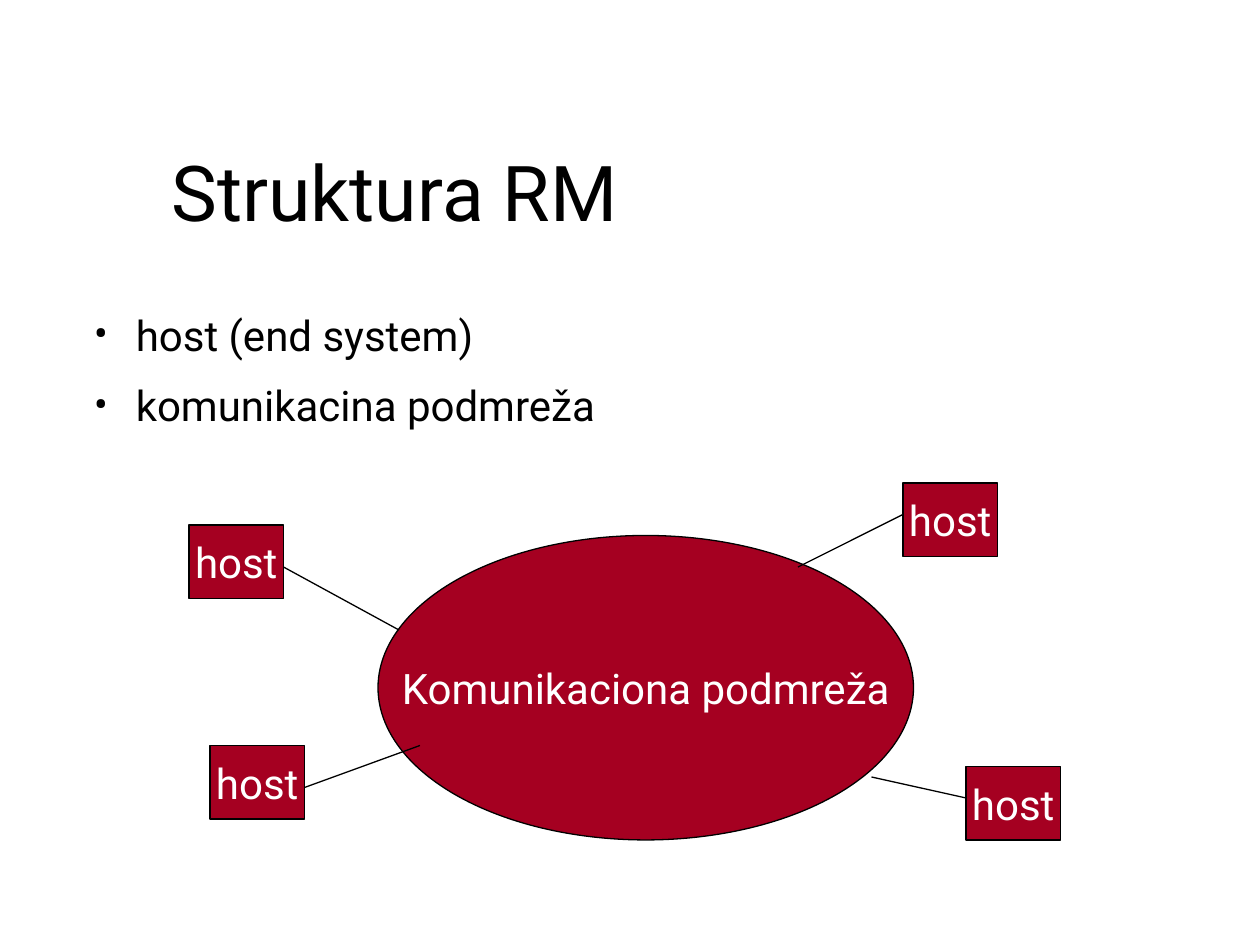
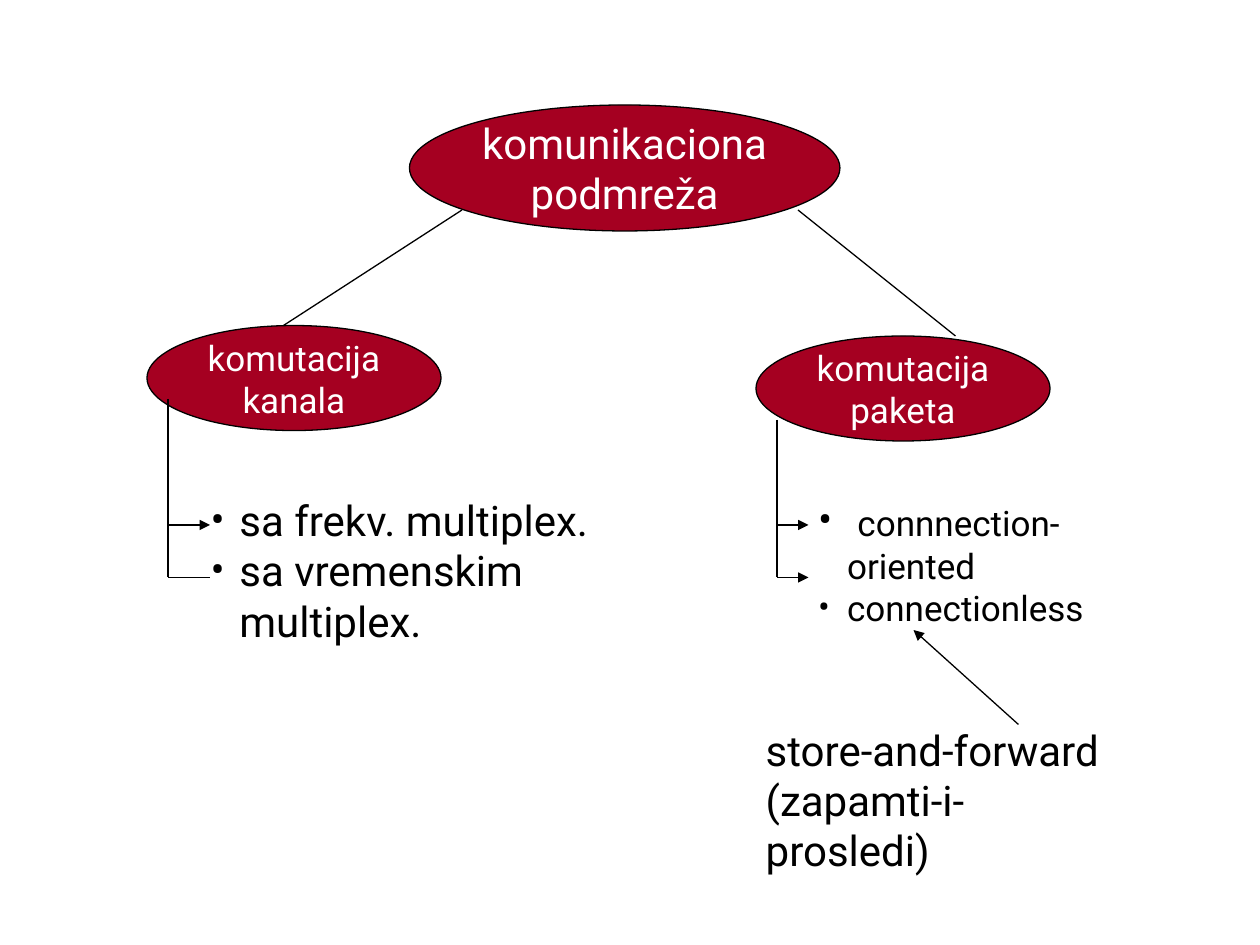
from dataclasses import dataclass

from lxml import etree
from pptx import Presentation
from pptx.dml.color import RGBColor
from pptx.enum.shapes import MSO_CONNECTOR, MSO_SHAPE
from pptx.enum.text import MSO_ANCHOR, PP_ALIGN
from pptx.oxml.ns import qn
from pptx.util import Pt

PX = 9525
TITLE_ONLY, BLANK = 5, 6
OVAL, RECTANGLE = MSO_SHAPE.OVAL, MSO_SHAPE.RECTANGLE
STRAIGHT = MSO_CONNECTOR.STRAIGHT
TOP, MIDDLE, BOTTOM = MSO_ANCHOR.TOP, MSO_ANCHOR.MIDDLE, MSO_ANCHOR.BOTTOM
LEFT, CENTER = PP_ALIGN.LEFT, PP_ALIGN.CENTER


@dataclass(frozen=True)
class Theme:
    font: str = "Roboto"
    ink: RGBColor = RGBColor(0, 0, 0)
    paper: RGBColor = RGBColor(255, 255, 255)
    accent: RGBColor = RGBColor(0xA5, 0x00, 0x21)
    title: int = 44
    body: int = 24
    small: int = 20
    line: float = 0.75


THEME = Theme()


def px(*lengths):
    return [length * PX for length in lengths]


def apply(target, formats):
    for name, value in formats.items():
        setattr(target, name, value)


def write(frame, paragraphs, size, color=THEME.ink, frame_format=None, **paragraph_format):
    apply(frame, {"word_wrap": True, "vertical_anchor": TOP, **(frame_format or {})})
    for index, runs in enumerate(paragraphs):
        paragraph = frame.add_paragraph() if index else frame.paragraphs[0]
        apply(paragraph, {"alignment": LEFT, **paragraph_format})
        for text, run_size in [(runs, size)] if isinstance(runs, str) else runs:
            run = paragraph.add_run()
            run.text = text
            apply(run.font, {"name": THEME.font, "size": Pt(run_size)})
            run.font.color.rgb = color


def add_text(slide, box, paragraphs, size=THEME.body, **paragraph_format):
    frame = slide.shapes.add_textbox(*px(*box)).text_frame
    write(frame, paragraphs, size, **paragraph_format)
    return frame


def add_bullets(slide, box, paragraphs, size=THEME.body, margin=22, hanging=22, **paragraph_format):
    frame = add_text(slide, box, paragraphs, size, **paragraph_format)
    for paragraph in frame.paragraphs:
        properties = paragraph._p.get_or_add_pPr()
        properties.set("marL", str(margin * PX))
        properties.set("indent", str(-hanging * PX))
        etree.SubElement(properties, qn("a:buFont")).set("typeface", THEME.font)
        etree.SubElement(properties, qn("a:buChar")).set("char", "•")


def add_node(slide, kind, box, paragraphs, size=THEME.body):
    shape = slide.shapes.add_shape(kind, *px(*box))
    shape.shadow.inherit = False
    shape.fill.solid()
    shape.fill.fore_color.rgb = THEME.accent
    shape.line.color.rgb = THEME.ink
    shape.line.width = Pt(THEME.line)
    write(shape.text_frame, paragraphs, size, THEME.paper,
          {"word_wrap": False, "vertical_anchor": MIDDLE}, alignment=CENTER)


def add_line(slide, start, end, arrow=False):
    connector = slide.shapes.add_connector(STRAIGHT, *px(*start, *end))
    connector.line.color.rgb = THEME.ink
    connector.line.width = Pt(THEME.line)
    if arrow:
        etree.SubElement(connector.line._ln, qn("a:tailEnd")).set("type", "triangle")
    etree.SubElement(connector._element.spPr, qn("a:effectLst"))


def add_title(slide, box, text):
    title = slide.shapes.title
    apply(title, dict(zip(("left", "top", "width", "height"), px(*box))))
    write(title.text_frame, [text], THEME.title, frame_format={"vertical_anchor": BOTTOM})


def draw_network(slide, left, top):
    def at(x, y):
        return left + x, top + y

    add_node(slide, OVAL, (*at(144, 40), 408, 232), ["Komunikaciona podmreža"])
    hosts = [
        ((0, 32), (72, 64), (160, 112)),
        ((16, 200), (88, 232), (176, 200)),
        ((592, 216), (592, 240), (520, 224)),
        ((544, 0), (544, 24), (464, 64)),
    ]
    for corner, link_start, link_end in hosts:
        add_node(slide, RECTANGLE, (*at(*corner), 72, 56), ["host"])
        add_line(slide, at(*link_start), at(*link_end))


def draw_branch(slide, left, top, name, trunk_top, elbows, reach):
    add_node(slide, OVAL, (left, top, 224, 80), name, THEME.small)
    trunk = left + 16
    add_line(slide, (trunk, top + trunk_top), (trunk, top + elbows[-1][0]))
    for elbow, arrow in elbows:
        add_line(slide, (trunk, top + elbow), (trunk + reach, top + elbow), arrow)


def draw_circuit_switching(slide, left, top):
    draw_branch(slide, left, top, ["komutacija", "kanala"], 56,
                [(152, True), (192, False)], 32)
    add_bullets(slide, (left + 39, top + 124, 362, 125),
                ["sa frekv. multiplex.", "sa vremenskim multiplex."])


def draw_packet_switching(slide, left, top):
    draw_branch(slide, left, top, ["komutacija", "paketa"], 64,
                [(144, True), (184, True)], 24)
    add_bullets(slide, (left + 38, top + 116, 240, 125),
                [[(" ", THEME.body), ("connnection-oriented", THEME.small)],
                 "connectionless"], THEME.small)
    add_text(slide, (left - 2, top + 291, 283, 125),
             ["store-and-forward", "(zapamti-i-prosledi)"])
    add_line(slide, (left + 200, top + 296), (left + 120, top + 224), True)


def build_structure(presentation):
    slide = presentation.slides.add_slide(presentation.slide_layouts[TITLE_ONLY])
    add_title(slide, (121, 65, 818, 120), "Struktura RM")
    draw_network(slide, 144, 368)
    add_bullets(slide, (40, 231, 784, 106),
                ["host (end system)", "komunikacina podmreža"],
                margin=54, hanging=32, space_before=Pt(11.5))


def build_subnet_types(presentation):
    slide = presentation.slides.add_slide(presentation.slide_layouts[BLANK])
    add_node(slide, OVAL, (312, 80, 328, 96), ["komunikaciona", "podmreža"])
    draw_circuit_switching(slide, 112, 248)
    draw_packet_switching(slide, 576, 256)
    for start, end in [((352, 160), (216, 248)), ((608, 160), (728, 256))]:
        add_line(slide, start, end)


def main():
    presentation = Presentation()
    presentation.slide_width, presentation.slide_height = px(960, 720)
    build_structure(presentation)
    build_subnet_types(presentation)
    presentation.save("out.pptx")


if __name__ == "__main__":
    main()
